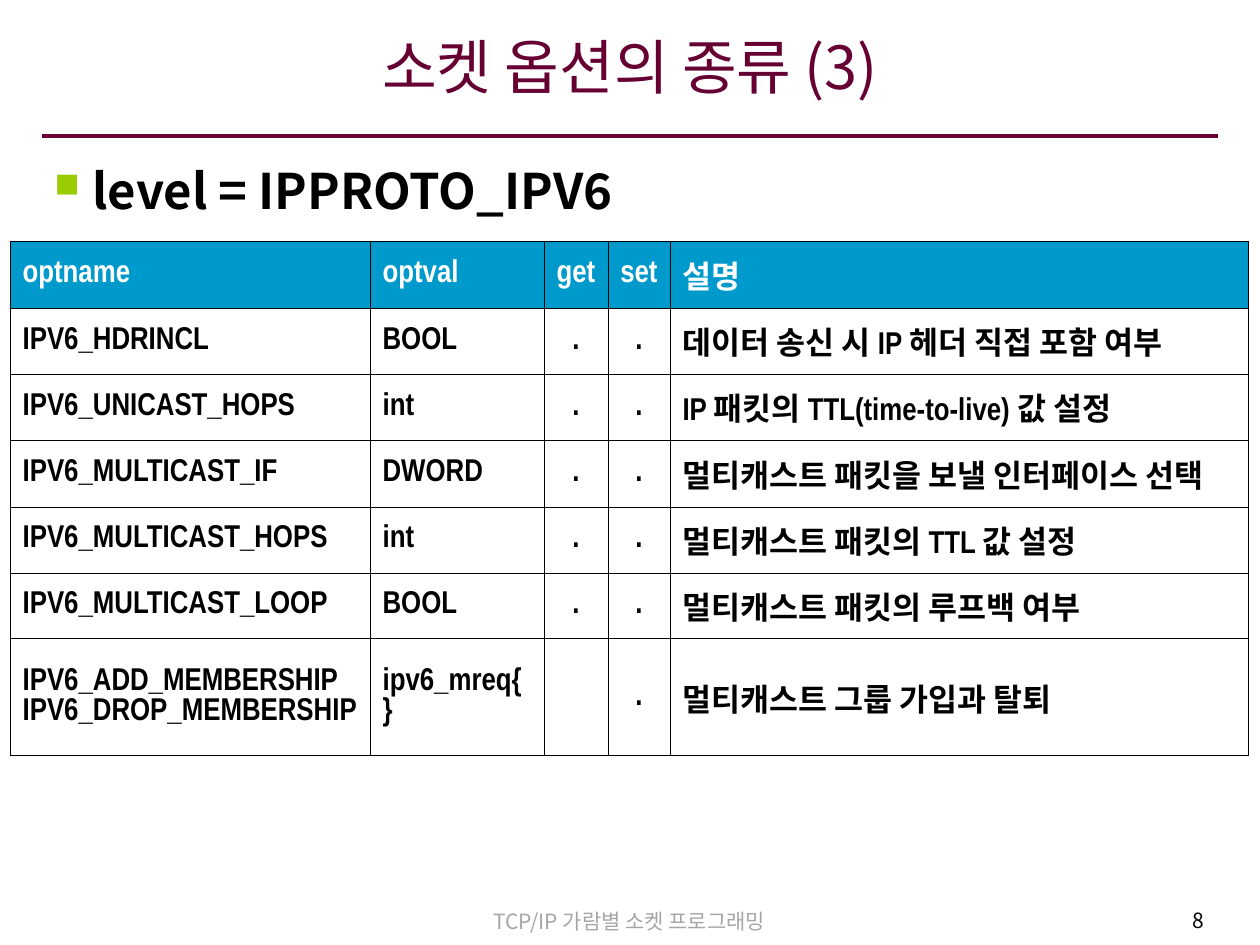
"""Build the slide listing the IPPROTO_IPV6 level socket options."""
from lxml import etree
from pptx import Presentation, util as u
from pptx.dml.color import RGBColor
from pptx.enum import shapes, text
from pptx.oxml import ns

SCALE = 914400 / 126
KOREAN, NARROW = "Noto Sans CJK KR", "Arial Narrow"
MAROON, BLACK = "660033", "000000"
LEFT, CENTER, RIGHT = text.PP_ALIGN.LEFT, text.PP_ALIGN.CENTER, text.PP_ALIGN.RIGHT


def px(*lengths):
    return [u.Emu(round(length * SCALE)) for length in lengths]


def write(frame, words, size, color, align=LEFT, latin=KOREAN, bold=False):
    frame.text = words
    for line in frame.paragraphs:
        line.alignment = align
        font = line.font
        font.size, font.bold, font.name = u.Pt(size), bold, latin
        font.color.rgb = RGBColor.from_string(color)
        font._element.set("kern", "0")
        etree.SubElement(font._element, ns.qn("a:ea"), typeface=KOREAN)


deck = Presentation()
deck.slide_width, deck.slide_height = px(1260, 945)
slide = deck.slides.add_slide(deck.slide_layouts[6])

rule = slide.shapes.add_connector(shapes.MSO_CONNECTOR.STRAIGHT, *px(42, 136, 1218, 136))
rule.line.width = u.Pt(2.25)
rule.line.color.rgb = RGBColor.from_string(MAROON)
etree.SubElement(rule._element.spPr, ns.qn("a:effectLst"))

frames = []
for place, words, size, color, align, bold in [
    ((362, 902, 535, 38), "TCP/IP 가람별 소켓 프로그래밍", 12, "A6A6A6", CENTER, False),
    ((950, 901, 267, 42), "8", 12, BLACK, RIGHT, False),
    ((42, 19, 1176, 107), "소켓 옵션의 종류 (3)", 34, MAROON, CENTER, False),
    ((42, 154, 1176, 738), "level = IPPROTO_IPV6", 28, BLACK, LEFT, True),
]:
    frame = slide.shapes.add_textbox(*px(*place)).text_frame
    frame.word_wrap = True
    write(frame, words, size, color, align, bold=bold)
    frames.append(frame)

title, level = frames[2:]
title.vertical_anchor = text.MSO_ANCHOR.MIDDLE
title.margin_left, title.margin_right, title.margin_bottom = px(10, 10, 20)

heading = level.paragraphs[0]
heading.space_before = u.Pt(7)
bullet = heading._p.get_or_add_pPr()
indent = px(38)[0]
bullet.set("marL", str(indent))
bullet.set("indent", str(-indent))
bullet_color = etree.Element(ns.qn("a:buClr"))
etree.SubElement(bullet_color, ns.qn("a:srgbClr"), val="99CC00")
bullet_size = etree.Element(ns.qn("a:buSzPct"), val="70000")
bullet_mark = etree.Element(ns.qn("a:buChar"), char="■")
for part in (bullet_color, bullet_size, bullet_mark):
    bullet.find(ns.qn("a:defRPr")).addprevious(part)

options = [
    ("optname", "optval", "get", "set", "설명"),
    ("IPV6_HDRINCL", "BOOL", ".", ".", "데이터 송신 시 IP 헤더 직접 포함 여부"),
    ("IPV6_UNICAST_HOPS", "int", ".", ".", "IP 패킷의 TTL(time-to-live) 값 설정"),
    ("IPV6_MULTICAST_IF", "DWORD", ".", ".", "멀티캐스트 패킷을 보낼 인터페이스 선택"),
    ("IPV6_MULTICAST_HOPS", "int", ".", ".", "멀티캐스트 패킷의 TTL 값 설정"),
    ("IPV6_MULTICAST_LOOP", "BOOL", ".", ".", "멀티캐스트 패킷의 루프백 여부"),
    ("IPV6_ADD_MEMBERSHIP\nIPV6_DROP_MEMBERSHIP", "ipv6_mreq{}", "", ".",
     "멀티캐스트 그룹 가입과 탈퇴"),
]
widths = px(360, 174, 64, 62, 578)
heights = px(*[67, 66, 66] * 2, 117)
table = slide.shapes.add_table(
    len(options), len(widths), *px(10, 241), sum(widths), sum(heights)).table
for column, width in zip(table.columns, widths):
    column.width = width
for row, height in zip(table.rows, heights):
    row.height = height

for r, option in enumerate(options):
    for c, words in enumerate(option):
        cell = table.cell(r, c)
        cell.vertical_anchor = text.MSO_ANCHOR.MIDDLE
        flag = c in (2, 3)
        if flag:
            cell.margin_left, cell.margin_right = px(8, 8)
        write(cell.text_frame, words, 18, BLACK if r else "FFFFFF",
              CENTER if flag else LEFT, NARROW, True)
        borders = cell._tc.get_or_add_tcPr()
        for side in ("lnL", "lnR", "lnT", "lnB"):
            border = etree.SubElement(borders, ns.qn(f"a:{side}"), w=str(u.Pt(0.45)))
            ink = etree.SubElement(border, ns.qn("a:solidFill"))
            etree.SubElement(ink, ns.qn("a:srgbClr"), val=BLACK)
        if r:
            cell.fill.background()
        else:
            cell.fill.solid()
            cell.fill.fore_color.rgb = RGBColor.from_string("0099CC")

deck.save("out.pptx")
